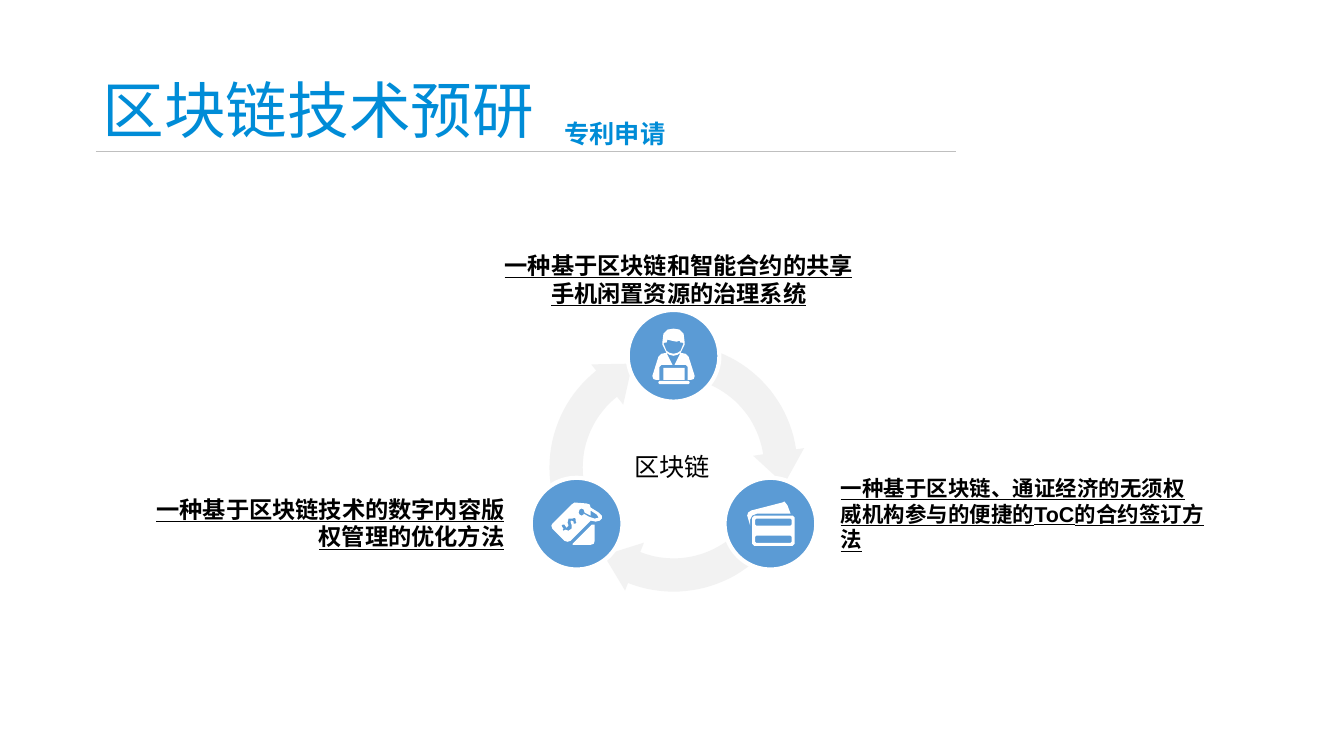
from dataclasses import dataclass
from math import cos, radians, sin

from lxml.etree import SubElement
from pptx import Presentation
from pptx.dml.color import RGBColor as Rgb
from pptx.enum.shapes import MSO_CONNECTOR as Link, MSO_SHAPE as Form
from pptx.enum.text import MSO_ANCHOR as Anchor, PP_ALIGN as Align
from pptx.oxml.ns import qn
from pptx.util import Inches, Pt


@dataclass(frozen=True)
class Theme:
    font: str = "Arial"
    title: str = "008CD7"
    ink: str = "000000"
    rule: str = "BFBFBF"
    ring: str = "F2F2F2"
    disc: str = "5B9BD5"
    white: str = "FFFFFF"
    head: float = 44
    body: float = 18
    label: float = 16.6
    small: float = 15.3


class Page:
    def __init__(self, slide, theme):
        self.shapes = slide.shapes
        self.theme = theme

    def text(self, words, box, size, color, bold=False, under=False,
             align=Align.LEFT, anchor=Anchor.MIDDLE, wrap=True, lead=1.0):
        frame = self.shapes.add_textbox(*map(Inches, box)).text_frame
        frame.word_wrap = wrap
        frame.vertical_anchor = anchor
        para = frame.paragraphs[0]
        para.alignment = align
        para.line_spacing = lead
        run = para.add_run()
        run.text = words
        font = run.font
        font.name, font.size = self.theme.font, Pt(size)
        font.bold, font.underline = bold, under
        font.color.rgb = Rgb.from_string(color)

    def rule(self, left, right, top):
        line = self.shapes.add_connector(
            Link.STRAIGHT, *map(Inches, (left, top, right, top)))
        line.line.color.rgb = Rgb.from_string(self.theme.rule)
        line.line.width = Pt(0.25)
        SubElement(line._element.spPr, qn("a:effectLst"))

    def paint(self, shape, color):
        shape.shadow.inherit = False
        shape.fill.solid()
        shape.fill.fore_color.rgb = Rgb.from_string(color)
        shape.line.fill.background()

    def disc(self, x, y, size):
        box = (x - size / 2, y - size / 2, size, size)
        shape = self.shapes.add_shape(Form.OVAL, *map(Inches, box))
        self.paint(shape, self.theme.disc)
        shape.line.color.rgb = Rgb.from_string(self.theme.white)
        shape.line.width = Pt(3)

    def outline(self, loops, x, y, color, unit=1.0):
        """Fill closed loops of points, in units of inches from (x, y).

        A loop inside another one makes a hole.
        """
        loops = [[((x + a * unit) * 1000, (y + b * unit) * 1000)
                  for a, b in loop] for loop in loops]
        pen = self.shapes.build_freeform(*loops[0][0], scale=Inches(1) / 1000)
        for n, loop in enumerate(loops):
            if n:
                pen.move_to(*loop[0])
            pen.add_line_segments(loop[1:], close=True)
        self.paint(pen.convert_to_shape(), color)


def polar(size, angle):
    turn = radians(angle)
    return size * cos(turn), size * sin(turn)


def arrow(start):
    """Curved arrow on the ring, clockwise over 90 degrees plus its tip."""
    end = start + 90
    steps = [start + 3 * n for n in range(31)]
    return ([polar(1.23, a) for a in steps]
            + [polar(1.31, end), polar(1.11, end + 17), polar(0.8, end)]
            + [polar(0.9, a) for a in reversed(steps)])


def rect(left, top, right, low, cut=0):
    """Rectangle whose corners are cut off by the given amount."""
    if not cut:
        return [(left, top), (right, top), (right, low), (left, low)]
    return [(left + cut, top), (right - cut, top), (right, top + cut),
            (right, low - cut), (right - cut, low), (left + cut, low),
            (left, low - cut), (left, top + cut)]


def mirror(half):
    """Close a right-hand half by its mirror image."""
    return half + [(-x, y) for x, y in reversed(half)]


# Icon points are hundredths of an inch from the centre of the disc.
ARM = [(7, -3), (12, -2), (15, 1), (21, 20), (20, 23), (17, 24),
       (14, 24), (14, 11), (12, 9), (1, 9)]
USER = [
    rect(-15, 25, 16, 28, 1), rect(-10, 12, 11, 24),
    ARM, [(-x, y) for x, y in ARM],
    mirror([(0, -27), (6, -26), (10, -22), (11, -14), (11, -11),
            (10, -9), (7, -3), (4, -1), (0, 0)]),
    [(-6, -16), (-7, -13), (-9, -13), (-10, -12), (-9, -10), (-7, -5),
     (-4, -3), (0, -2), (4, -3), (7, -5), (9, -10), (10, -12), (9, -13),
     (7, -13), (6, -15), (3, -14), (-2, -15)],
]
CARD = [
    rect(-18, -8, 24, 22, 2),
    rect(-15, -5, 21, 2, 1), rect(-15, 12, 21, 19, 1),
    [(14, -22), (17, -18), (20, -10), (-13, -10), (-18, -8), (-20, -4),
     (-20, 2), (-23, -8), (-22, -11), (-19, -13), (12, -21)],
]
TAG = [
    [(15, 1), (18, 1), (18, 17), (17, 20), (14, 21), (-4, 21), (-4, 20)],
    [(-2, -21), (10, -20), (13, -19), (14, -16), (22, -11), (25, -8),
     (25, -5), (23, -3), (19, -2), (14, -3), (12, -1), (-6, 17), (-9, 18),
     (-12, 17), (-24, 5), (-25, 2), (-24, 0), (-5, -19)],
    [(5, -15), (3, -14), (2, -11), (3, -9), (5, -8), (7, -9), (7, -10),
     (12, -7), (18, -5), (22, -6), (20, -9), (14, -13), (14, -8),
     (8, -11), (7, -14)],
    [(-2, -6), (-4, -5), (-8, -5), (-9, -1), (-8, 2), (-10, 4), (-12, 1),
     (-14, 1), (-15, 2), (-13, 5), (-14, 6), (-13, 7), (-11, 6), (-8, 7),
     (-5, 5), (-5, 1), (-6, -2), (-5, -3), (-3, -2), (-3, 0), (-1, 0),
     (0, -1), (-1, -3), (-1, -5)],
]


def main():
    deck = Presentation()
    deck.slide_width, deck.slide_height = Inches(13.33), Inches(7.5)
    look = Theme()
    page = Page(deck.slides.add_slide(deck.slide_layouts[6]), look)

    page.text("区块链技术预研", (0.92, 0.4, 11.5, 1.45), look.head,
              look.title, lead=0.9)
    page.rule(0.95, 9.48, 1.5)
    page.text("专利申请", (5.5, 1.12, 1.21, 0.4), look.body, look.title,
              bold=True, anchor=Anchor.TOP, wrap=False)

    mid, low = 6.68, 4.64
    for n in range(3):
        page.outline([arrow(21.5 + 120 * n)], mid, low, look.ring)
    for n, icon in enumerate((USER, CARD, TAG)):
        dx, dy = polar(1.11, 120 * n - 90)
        page.disc(mid + dx, low + dy, 0.91)
        page.outline(icon, mid + dx, low + dy, look.white, 0.01)

    labels = [
        ("一种基于区块链和智能合约的共享手机闲置资源的治理系统",
         4.82, 2.47, look.label, Align.CENTER),
        ("一种基于区块链、通证经济的无须权威机构参与的便捷的ToC的合约签订方法",
         8.24, 4.8, look.small, Align.LEFT),
        ("一种基于区块链技术的数字内容版权管理的优化方法",
         1.28, 4.89, look.label, Align.RIGHT),
    ]
    for words, left, top, size, align in labels:
        page.text(words, (left, top, 3.82, 0.59), size, look.ink,
                  bold=True, under=True, align=align)
    page.text("区块链", (6.19, 4.43, 0.96, 0.4), look.body, look.ink,
              anchor=Anchor.TOP, wrap=False)

    deck.save("out.pptx")


if __name__ == "__main__":
    main()
